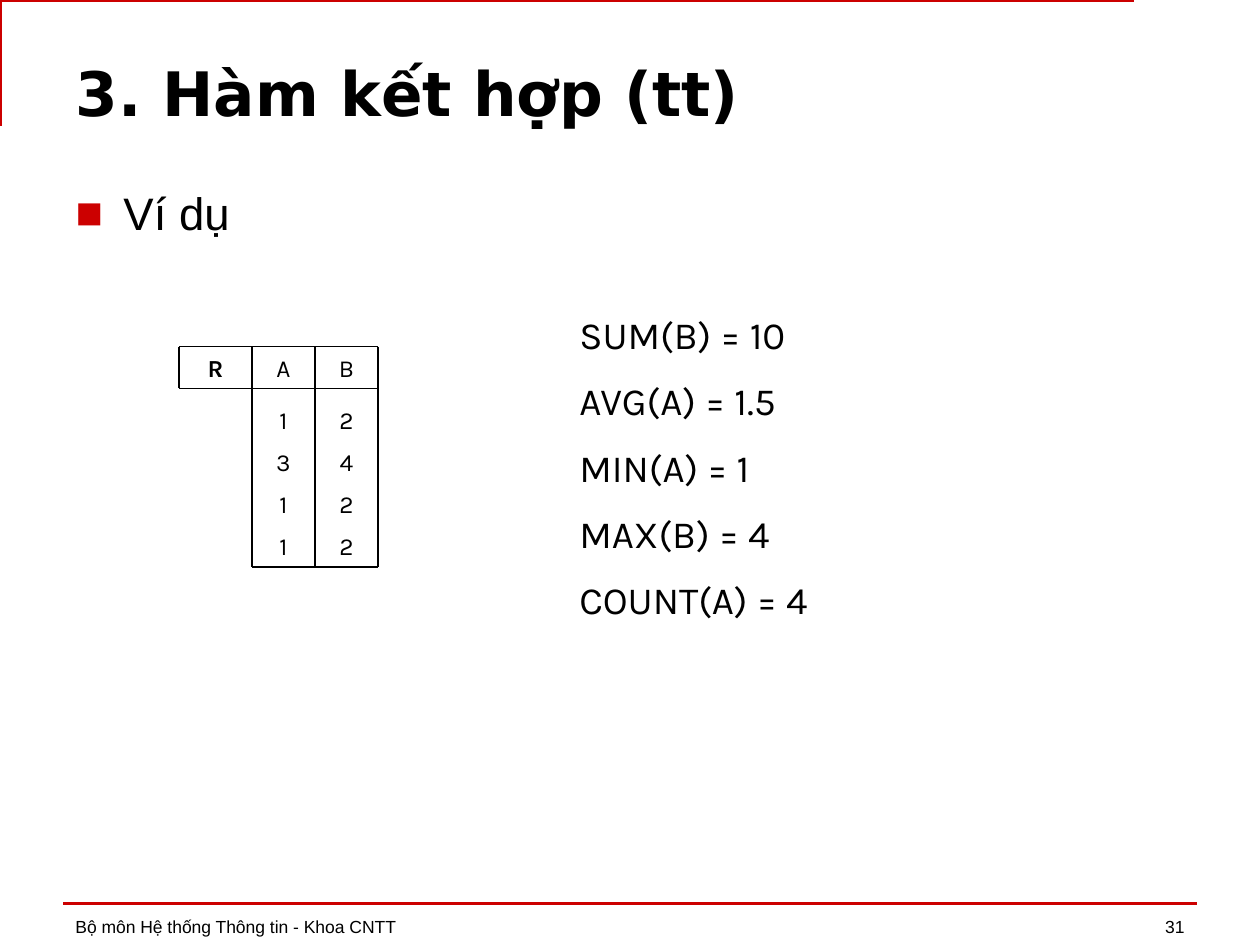
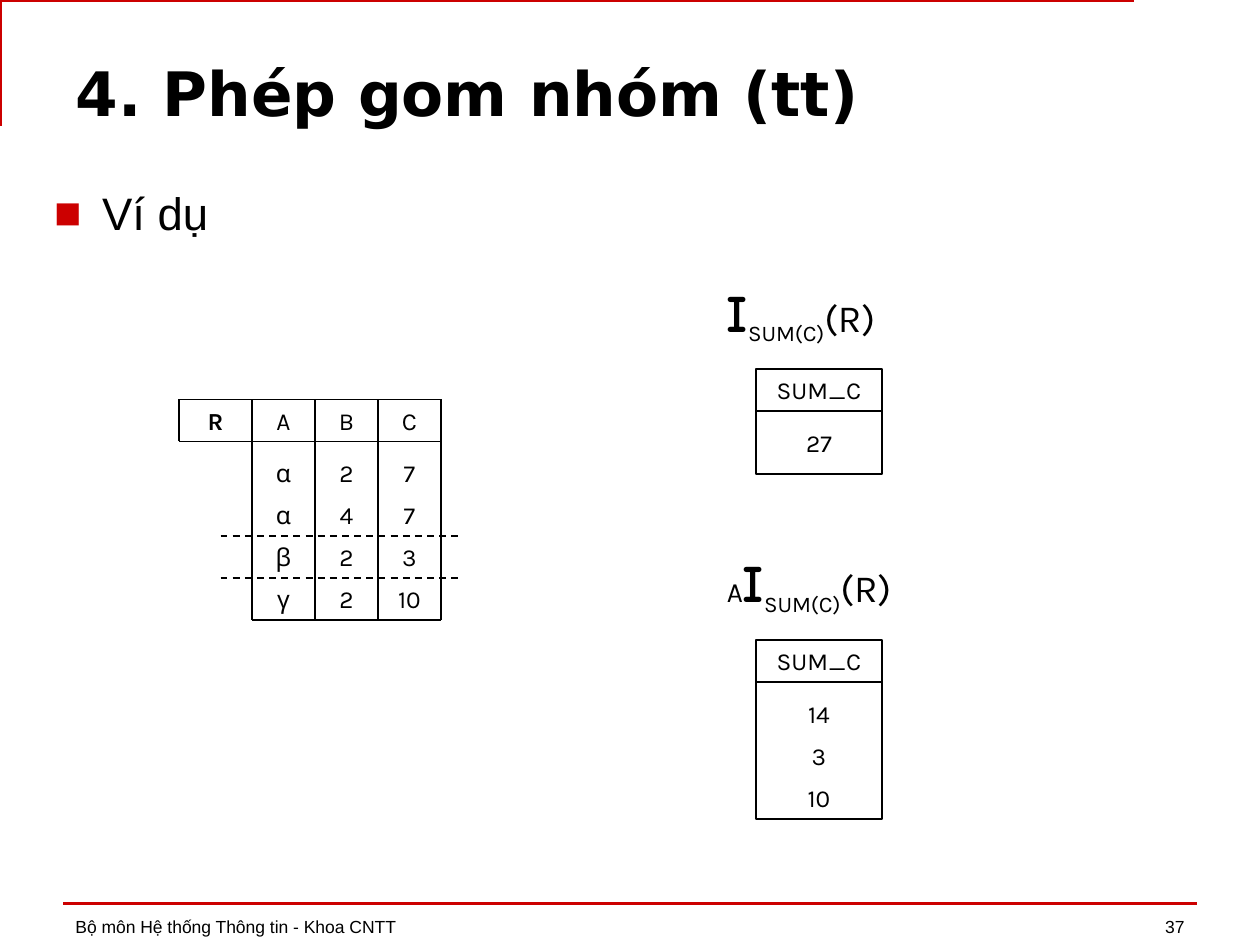
"""Build two lecture slides on aggregate functions and grouping in relational algebra."""
from lxml import etree
from pptx import Presentation
from pptx.dml.color import RGBColor
from pptx.enum import dml, shapes, text
from pptx.oxml import ns
from pptx.util import Inches, Pt

COLORS = {"accent": "CC0000", "ink": "000000"}
FOOTER = "Bộ môn Hệ thống Thông tin - Khoa CNTT"

TITLE = {"name": "DejaVu Sans", "size": 35, "bold": True}
BODY = {"name": "Arial", "size": 26}
SMALL = {"name": "Arial", "size": 10}
CELL = {"name": "Karla", "size": 14}
CELL_BOLD = {**CELL, "bold": True}
FORMULA = {"name": "Karla", "size": 22}
PREFIX = {"name": "Karla", "size": 16}
OPERATOR = {"name": "Comic Neue", "size": 30, "bold": True}
SUBSCRIPT = {**FORMULA, "baseline": -25000}

GROUPING = [("I", OPERATOR), ("SUM(C)", SUBSCRIPT), ("(R)", FORMULA)]

PAGES = [
    {
        "title": "3. Hàm kết hợp (tt)",
        "number": "31",
        "body": "Ví dụ",
        "body_at": (0.5, 1.42, 9, 5.29),
        "relation": {
            "top": 2.75,
            "columns": ["A", "B"],
            "rows": [["1", "2"], ["3", "4"], ["1", "2"], ["1", "2"]],
        },
        "formulas": [
            ((4.5, 2.42, 2.33, 2.67), [
                [(line, FORMULA)]
                for line in ("SUM(B) = 10", "AVG(A) = 1.5", "MIN(A) = 1",
                             "MAX(B) = 4", "COUNT(A) = 4")
            ]),
        ],
        "results": [],
        "separators": [],
    },
    {
        "title": "4. Phép gom nhóm (tt)",
        "number": "37",
        "body": "Ví dụ",
        "body_at": (0.33, 1.42, 9.33, 5.29),
        "relation": {
            "top": 3.17,
            "columns": ["A", "B", "C"],
            "rows": [["α", "2", "7"], ["α", "4", "7"],
                     ["β", "2", "3"], ["γ", "2", "10"]],
        },
        "formulas": [
            ((5.67, 2.17, 2.33, 0.6), [GROUPING]),
            ((5.67, 4.32, 2.33, 0.6), [[("A", PREFIX)] + GROUPING]),
        ],
        "results": [
            {"top": 2.93, "height": 0.83, "head": "SUM_C", "values": ["27"]},
            {"top": 5.08, "height": 1.42, "head": "SUM_C",
             "values": ["14", "3", "10"]},
        ],
        "separators": [2, 3],
    },
]

ROW = 1 / 3
FIRST_ROW = 5 / 12
NAME_LEFT, GRID_LEFT, COLUMN = 1.42, 2, 0.5
RESULT_LEFT, RESULT_WIDTH = 6, 1
SEPARATOR_ENDS = (1.75, 3.67)


def color(name):
    return RGBColor.from_string(COLORS[name])


def place(shape, area):
    for side, length in zip(("left", "top", "width", "height"), area):
        setattr(shape, side, Inches(length))


def write(shape, lines, align=text.PP_ALIGN.LEFT, gap=0, **frame_format):
    frame = shape.text_frame
    settings = {"word_wrap": True, "vertical_anchor": text.MSO_ANCHOR.TOP,
                "auto_size": text.MSO_AUTO_SIZE.NONE, **frame_format}
    for key, value in settings.items():
        setattr(frame, key, value)
    for index, line in enumerate(lines):
        para = frame.add_paragraph() if index else frame.paragraphs[0]
        para.alignment = align
        para.space_before = Pt(gap if index else 0)
        for words, style in line:
            span = para.add_run()
            span.text = words
            span.font.color.rgb = color("ink")
            for key, value in style.items():
                if key == "baseline":
                    span._r.get_or_add_rPr().set(key, str(value))
                else:
                    setattr(span.font, key, Pt(value) if key == "size" else value)


def add_text(canvas, area, lines, **settings):
    box = canvas.add_textbox(*map(Inches, area))
    write(box, lines, **settings)


def add_cell(canvas, left, top, width, words, style=CELL):
    add_text(canvas, (left, top, width, ROW), [[(words, style)]],
             align=text.PP_ALIGN.CENTER,
             auto_size=text.MSO_AUTO_SIZE.SHAPE_TO_FIT_TEXT)


def add_line(canvas, start, end, ink="ink", width=1, dashed=False):
    line = canvas.add_connector(shapes.MSO_CONNECTOR.STRAIGHT,
                                *map(Inches, start + end))
    line.line.color.rgb = color(ink)
    line.line.width = Pt(width)
    if dashed:
        line.line.dash_style = dml.MSO_LINE.DASH
    etree.SubElement(line.element.spPr, ns.qn("a:effectLst"))
    return line


def add_bullet(para):
    settings = para._p.get_or_add_pPr()
    settings.set("marL", str(Inches(0.38)))
    settings.set("indent", str(-Inches(0.38)))
    tint = etree.SubElement(settings, ns.qn("a:buClr"))
    etree.SubElement(tint, ns.qn("a:srgbClr"), val=COLORS["accent"])
    etree.SubElement(settings, ns.qn("a:buFont"), typeface="Arial")
    etree.SubElement(settings, ns.qn("a:buChar"), char="■")


def add_bands(page, layout):
    builder = page.shapes.build_freeform(0.42, 1, scale=Inches(1))
    builder.add_line_segments([(0.42, 0.33), (9.42, 0.33)], close=False)
    corner = builder.convert_to_shape()
    corner.shadow.inherit = False
    corner.fill.background()
    corner.line.color.rgb = color("accent")
    corner.line.width = Pt(2.5)
    rule = add_line(page.shapes, (0.5, 7.17), (9.5, 7.17), "accent", 2)
    for band in (corner, rule):
        layout.shapes.element.append(band.element)


def add_relation(page, top, columns, rows):
    canvas = page.shapes.add_group_shape().shapes
    right = GRID_LEFT + COLUMN * len(columns)
    bottom = top + FIRST_ROW + ROW * len(rows)
    add_cell(canvas, NAME_LEFT, top, GRID_LEFT - NAME_LEFT, "R", CELL_BOLD)
    tops = [top] + [top + FIRST_ROW + ROW * index for index in range(len(rows))]
    for row_top, row in zip(tops, [columns] + rows):
        for index, words in enumerate(row):
            add_cell(canvas, GRID_LEFT + COLUMN * index, row_top, COLUMN, words)
    for left, level in ((NAME_LEFT, top), (NAME_LEFT, top + ROW), (GRID_LEFT, bottom)):
        add_line(canvas, (left, level), (right, level))
    add_line(canvas, (NAME_LEFT, top), (NAME_LEFT, top + ROW))
    for index in range(len(columns) + 1):
        edge = GRID_LEFT + COLUMN * index
        add_line(canvas, (edge, top), (edge, bottom))


def add_result(page, top, height, head, values):
    canvas = page.shapes.add_group_shape().shapes
    frame = canvas.add_shape(
        shapes.MSO_SHAPE.RECTANGLE,
        *map(Inches, (RESULT_LEFT, top, RESULT_WIDTH, height)))
    frame.shadow.inherit = False
    frame.fill.background()
    frame.line.color.rgb = color("ink")
    frame.line.width = Pt(1)
    add_cell(canvas, RESULT_LEFT, top, RESULT_WIDTH, head)
    add_line(canvas, (RESULT_LEFT, top + ROW), (RESULT_LEFT + RESULT_WIDTH, top + ROW))
    for index, value in enumerate(values):
        add_cell(canvas, RESULT_LEFT, top + FIRST_ROW + ROW * index,
                 RESULT_WIDTH, value)


def add_page(deck, layout, content):
    page = deck.slides.add_slide(layout)
    title, body = page.placeholders
    place(title, (0.5, 0.39, 9.33, 0.68))
    write(title, [[(content["title"], TITLE)]])
    place(body, content["body_at"])
    add_bullet(body.text_frame.paragraphs[0])
    write(body, [[(content["body"], BODY)]], align=text.PP_ALIGN.JUSTIFY)
    bottom = text.MSO_ANCHOR.BOTTOM
    add_text(page.shapes, (0.5, 6.99, 6.08, 0.5), [[(FOOTER, SMALL)]],
             vertical_anchor=bottom)
    add_text(page.shapes, (7.17, 6.99, 2.33, 0.5), [[(content["number"], SMALL)]],
             align=text.PP_ALIGN.RIGHT, vertical_anchor=bottom)
    relation = content["relation"]
    add_relation(page, **relation)
    for row in content["separators"]:
        level = relation["top"] + FIRST_ROW + ROW * row
        start, end = ((edge, level) for edge in SEPARATOR_ENDS)
        add_line(page.shapes, start, end, dashed=True)
    for area, lines in content["formulas"]:
        add_text(page.shapes, area, lines, gap=11.5,
                 auto_size=text.MSO_AUTO_SIZE.SHAPE_TO_FIT_TEXT)
    for result in content["results"]:
        add_result(page, **result)
    return page


def main():
    deck = Presentation()
    deck.slide_width, deck.slide_height = Inches(10), Inches(7.5)
    layout = deck.slide_layouts[1]
    pages = [add_page(deck, layout, content) for content in PAGES]
    add_bands(pages[0], layout)
    deck.save("out.pptx")


if __name__ == "__main__":
    main()
